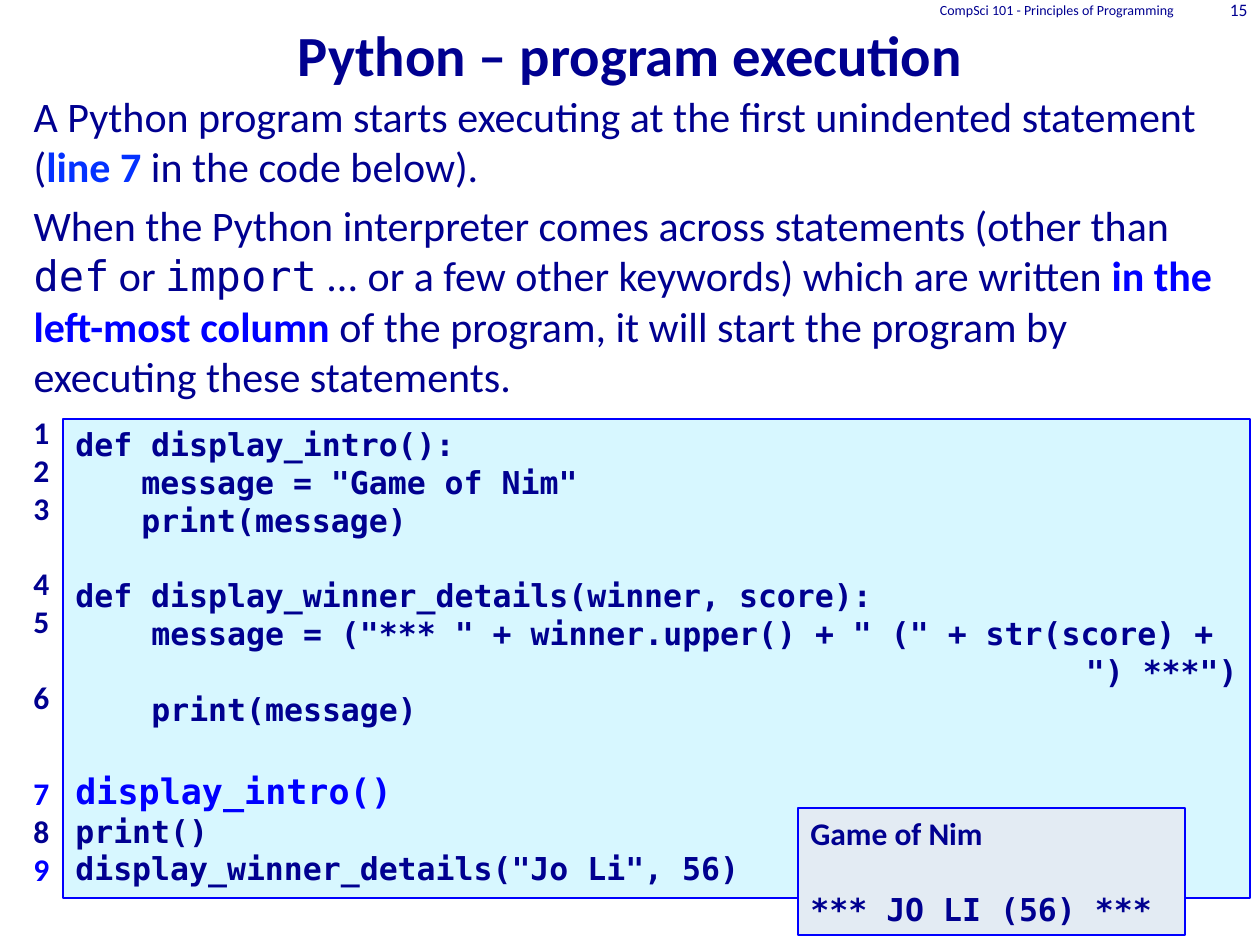
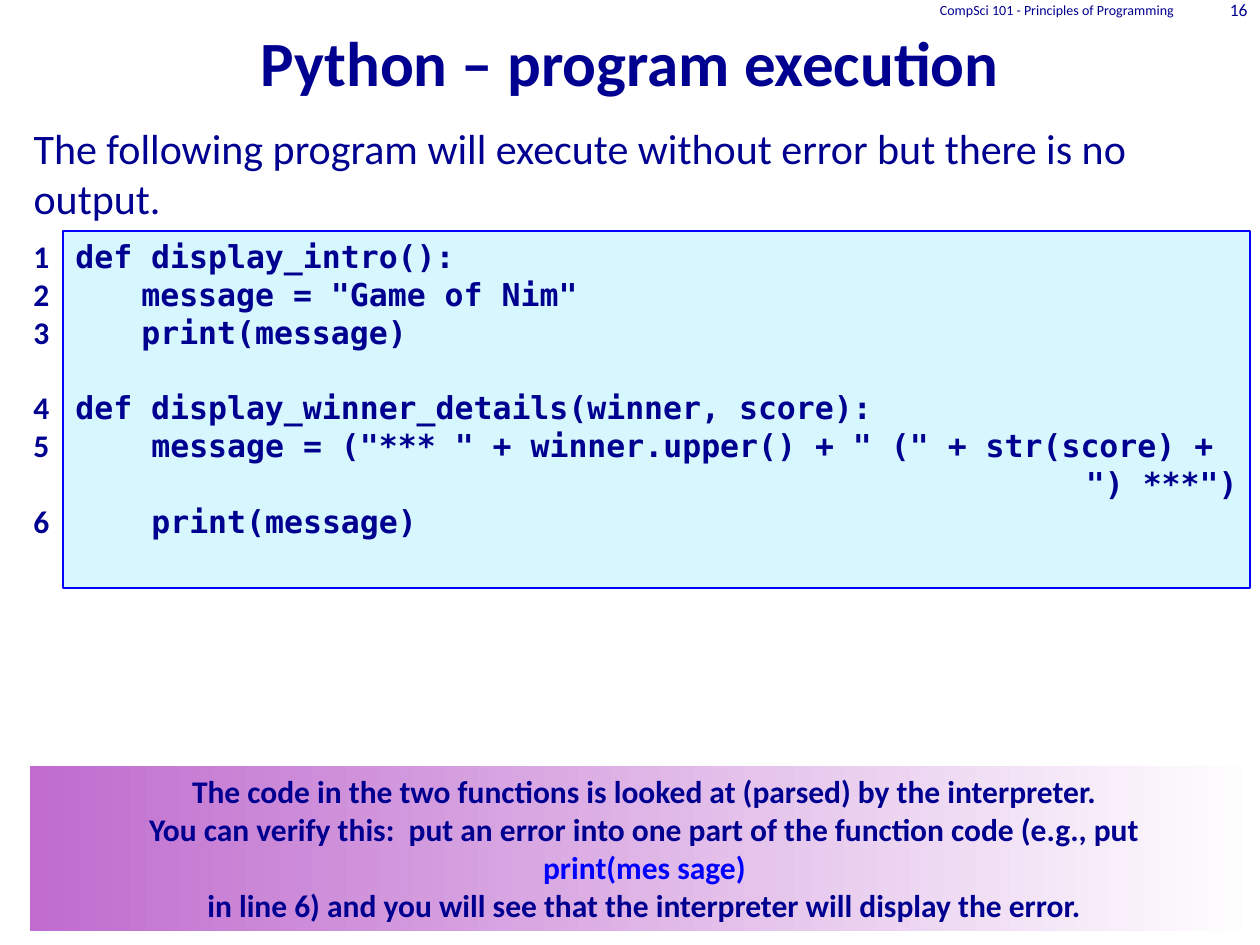
from dataclasses import dataclass

from lxml import etree
from pptx import Presentation
from pptx.dml.color import RGBColor
from pptx.enum.shapes import MSO_SHAPE
from pptx.enum.text import MSO_ANCHOR, MSO_AUTO_SIZE, PP_ALIGN
from pptx.oxml.ns import qn
from pptx.util import Pt

RECTANGLE = MSO_SHAPE.RECTANGLE
TOP, MIDDLE, BOTTOM = MSO_ANCHOR.TOP, MSO_ANCHOR.MIDDLE, MSO_ANCHOR.BOTTOM
LEFT, CENTER, RIGHT = PP_ALIGN.LEFT, PP_ALIGN.CENTER, PP_ALIGN.RIGHT
NO_FIT = MSO_AUTO_SIZE.NONE

NAVY, BLUE, BRIGHT_BLUE = "000090", "0000FF", "0432FF"
CODE_FILL, OUTPUT_FILL = "D7F7FF", "E3EBF3"
BAND_START, BAND_END = "BF6CCE", "FFFFFF"
SANS, MONO = "Calibri", "DejaVu Sans Mono"
EMU_PER_PX = 914400 / 126
SLIDE_W, SLIDE_H = 1260, 945
BLANK_LINE = 21.6
BODY_GAP = 4.8


@dataclass
class Run:
    """A piece of text; None keeps the style of its text frame."""
    text: str
    font: str = None
    size: float = None
    color: str = None
    bold: bool = None


@dataclass
class Line:
    """A paragraph: indent in px, gap before it in points."""
    runs: list
    indent: int = 0
    gap: float = 0
    align: int = LEFT


def line(text, indent=0, gap=0, align=LEFT, **style):
    return Line([Run(text, **style)], indent, gap, align)


TITLE = "Python – program execution"
COURSE = "CompSci 101 - Principles of Programming"

FUNCTIONS = [
    line("def display_intro():"),
    line('message = "Game of Nim"', indent=66),
    line("print(message)", indent=66),
    line("def display_winner_details(winner, score):", gap=BLANK_LINE),
    line('message = ("*** " + winner.upper() + " (" + str(score) +', indent=76),
    line('") ***")', align=RIGHT),
    line("print(message)", indent=76),
]
CALLS = [
    line("display_intro()", gap=24, size=20, color=BLUE),
    line("print()"),
    line('display_winner_details("Jo Li", 56)'),
]
FUNCTION_NUMBERS = [line(str(n), gap=BLANK_LINE if n in (4, 6) else 0)
                    for n in range(1, 7)]
CALL_NUMBERS = [line("7", gap=33.6, color=BLUE), line("8"),
                line("9", color=BLUE)]
OUTPUT = [line("Game of Nim"),
          line("*** JO LI (56) ***", gap=BLANK_LINE, font=MONO)]
REMARK = [
    line("The code in the two functions is looked at (parsed) by the interpreter.",
         align=CENTER),
    line("You can verify this:  put an error into one part of the function code "
         "(e.g., put", align=CENTER),
    line("print(mes sage)", align=CENTER, color=BLUE),
    line("in line 6) and you will see that the interpreter will display the error.",
         align=CENTER),
]

SLIDES = [
    {
        "page": "15",
        "title_size": 32.4,
        "title_box": (0, 10, SLIDE_W, 84),
        "body_top": 84,
        "body": [
            Line([Run("A Python program starts executing at the first unindented "
                      "statement ("),
                  Run("line 7 ", color=BRIGHT_BLUE, bold=True),
                  Run("in the code below).")], gap=BODY_GAP),
            Line([Run("When the Python interpreter comes across statements "
                      "(other than "),
                  Run("def", font=MONO), Run(" or "), Run("import", font=MONO),
                  Run(" ... or a few other keywords) which are written "),
                  Run("in the left-most column", color=BLUE, bold=True),
                  Run(" of the program, it will start the program by executing "
                      "these statements.")], gap=BODY_GAP),
        ],
        "code": FUNCTIONS + CALLS,
        "code_box": (63, 419, 1187, 479),
        "numbers": FUNCTION_NUMBERS + CALL_NUMBERS,
        "numbers_box": (21, 407, 83, 496),
        "output_box": (798, 808, 387, 127),
    },
    {
        "page": "16",
        "title_size": 36,
        "title_box": (0, 0, SLIDE_W, 105),
        "body_top": 116,
        "body": [line("The following program will execute without error but there "
                      "is no output.", gap=BODY_GAP)],
        "code": FUNCTIONS,
        "code_box": (63, 231, 1187, 357),
        "numbers": FUNCTION_NUMBERS,
        "numbers_box": (21, 231, 73, 318),
        "remark_box": (30, 766, 1229, 165),
    },
]


def px(length):
    return round(length * EMU_PER_PX)


def rgb(hex_color):
    return RGBColor.from_string(hex_color)


def place(shape, box):
    shape.left, shape.top, shape.width, shape.height = map(px, box)


def write(shape, lines, size, font=SANS, bold=False, anchor=TOP):
    """Fill a shape with lines, applying each run's own style over the default."""
    frame = shape.text_frame
    frame.word_wrap = True
    frame.auto_size = NO_FIT
    frame.vertical_anchor = anchor
    for i, entry in enumerate(lines):
        paragraph = frame.add_paragraph() if i else frame.paragraphs[0]
        paragraph.alignment = entry.align
        paragraph.space_before = Pt(entry.gap)
        properties = paragraph._p.get_or_add_pPr()
        properties.set("marL", str(px(entry.indent)))
        properties.set("indent", "0")
        etree.SubElement(properties, qn("a:buNone"))
        for part in entry.runs:
            run = paragraph.add_run()
            run.text = part.text
            run.font.name = part.font or font
            run.font.size = Pt(part.size or size)
            run.font.bold = bold if part.bold is None else part.bold
            run.font.color.rgb = rgb(part.color or NAVY)


def add_text(slide, box, lines, size, **style):
    write(slide.shapes.add_textbox(*map(px, box)), lines, size, **style)


def add_panel(slide, box):
    panel = slide.shapes.add_shape(RECTANGLE, *map(px, box))
    panel.shadow.inherit = False
    return panel


def add_framed_panel(slide, box, fill, lines, font):
    panel = add_panel(slide, box)
    panel.fill.solid()
    panel.fill.fore_color.rgb = rgb(fill)
    panel.line.color.rgb = rgb(BLUE)
    panel.line.width = Pt(0.75)
    write(panel, lines, 18, font=font, bold=True)


def add_remark(slide, box):
    band = add_panel(slide, box)
    band.fill.gradient()
    band.fill.gradient_angle = 0
    for stop, color in zip(band.fill.gradient_stops, (BAND_START, BAND_END)):
        stop.color.rgb = rgb(color)
    band.line.fill.background()
    write(band, REMARK, 18, bold=True)


def add_slide(prs, content):
    slide = prs.slides.add_slide(prs.slide_layouts[1])
    title, body = slide.placeholders
    place(title, content["title_box"])
    write(title, [line(TITLE, align=CENTER)], content["title_size"],
          bold=True, anchor=BOTTOM)
    place(body, (21, content["body_top"], 1207, 646))
    write(body, content["body"], 24)

    add_text(slide, (809, -1, 378, 21), [line(COURSE, align=RIGHT)], 8,
             anchor=MIDDLE)
    add_text(slide, (1187, -1, 73, 21), [line(content["page"], align=RIGHT)], 10,
             anchor=MIDDLE)

    add_framed_panel(slide, content["code_box"], CODE_FILL, content["code"], MONO)
    add_text(slide, content["numbers_box"], content["numbers"], 18, bold=True)
    if "output_box" in content:
        add_framed_panel(slide, content["output_box"], OUTPUT_FILL, OUTPUT, SANS)
    if "remark_box" in content:
        add_remark(slide, content["remark_box"])


def main():
    prs = Presentation()
    prs.slide_width, prs.slide_height = px(SLIDE_W), px(SLIDE_H)
    for content in SLIDES:
        add_slide(prs, content)
    prs.save("out.pptx")


if __name__ == "__main__":
    main()
